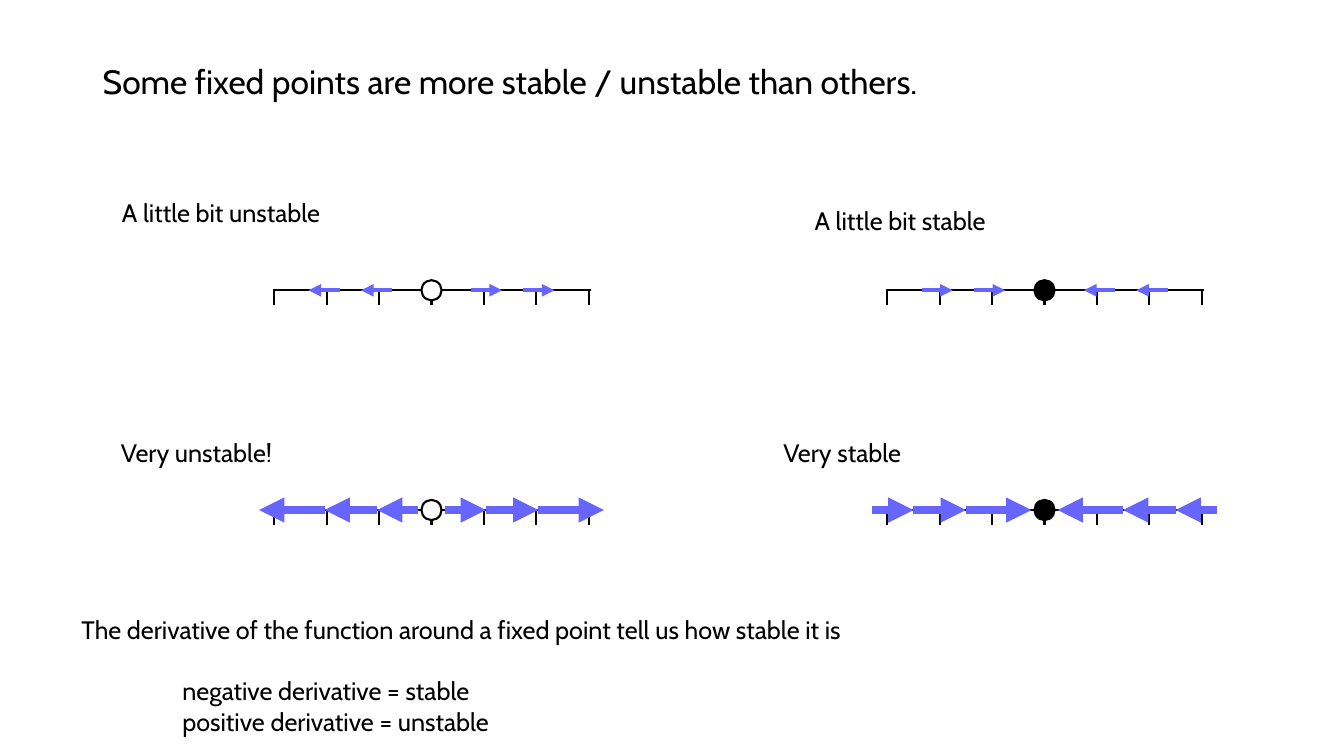
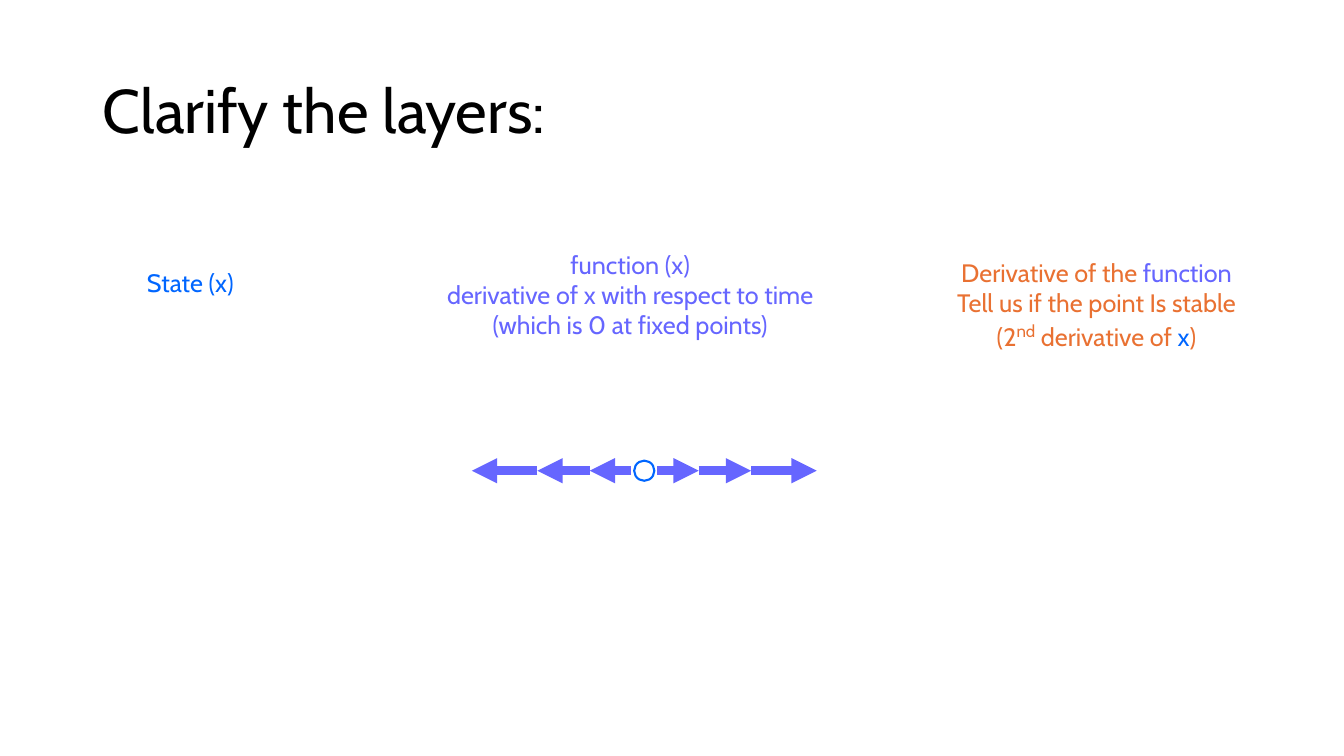
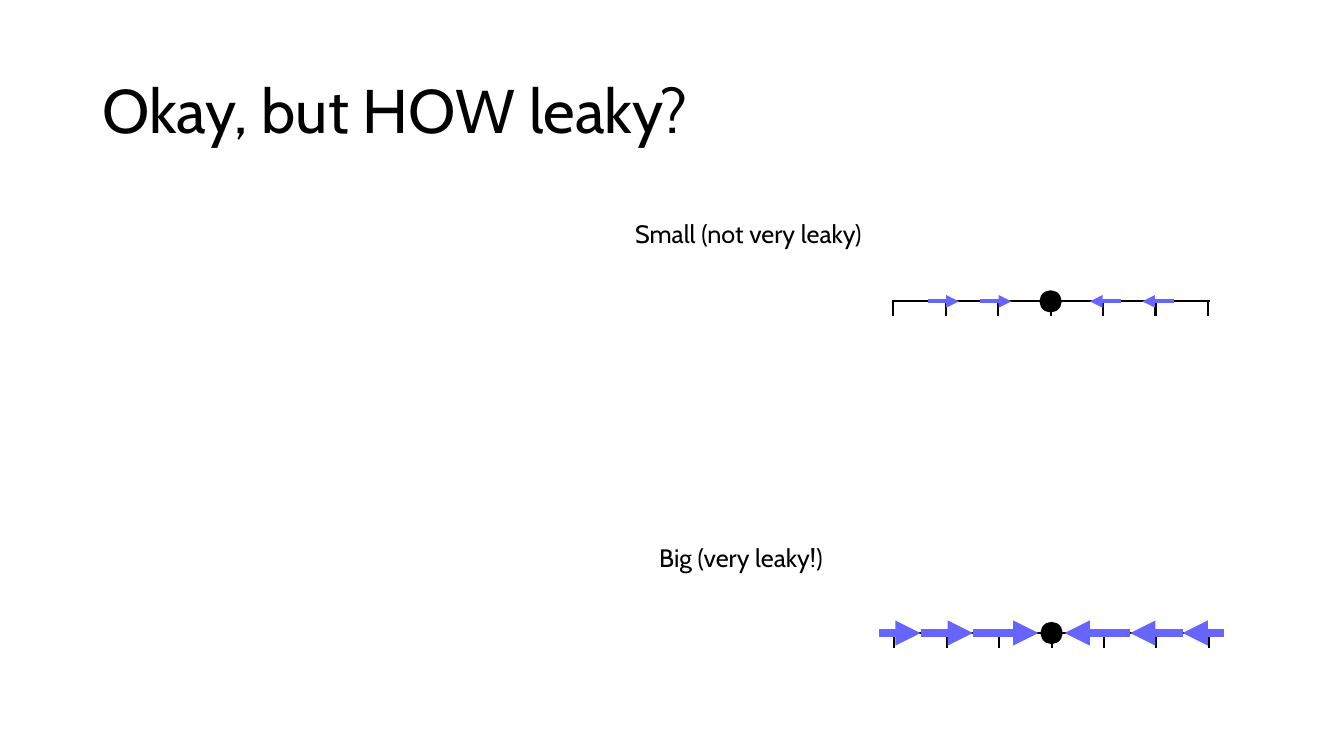
from lxml.etree import SubElement
from pptx import Presentation
from pptx.dml.color import RGBColor
from pptx.enum.shapes import MSO_CONNECTOR, MSO_SHAPE
from pptx.enum.text import MSO_ANCHOR, PP_ALIGN
from pptx.oxml.ns import qn
from pptx.util import Inches, Pt

FONT = "Cabin"
BLACK = RGBColor(0x00, 0x00, 0x00)
WHITE = RGBColor(0xFF, 0xFF, 0xFF)
VIOLET = RGBColor(0x66, 0x66, 0xFF)
BLUE = RGBColor(0x00, 0x66, 0xFF)
ORANGE = RGBColor(0xE9, 0x71, 0x32)

TICK_GAP = 0.52
POINT_SIZE = 0.2

# Arrow (tail, head) distances from the fixed point, mirrored on both sides
WEAK_OUT = [(0.39, 0.7), (0.91, 1.22)]
WEAK_IN = [(head, tail) for tail, head in WEAK_OUT]
STRONG_OUT = [(0.13, 0.54), (0.54, 1.06), (1.06, 1.71)]
STRONG_IN = [(1.71, 1.3), (1.3, 0.78), (0.78, 0.13)]
WEAK_WIDTH, STRONG_WIDTH = 3, 6


def add_text(slide, box, lines, size=18, color=BLACK, align=PP_ALIGN.LEFT):
    """Add a text box; a line is a string or a list of (text, colour) runs."""
    tf = slide.shapes.add_textbox(*map(Inches, box)).text_frame
    tf.word_wrap = True
    for i, line in enumerate(lines):
        p = tf.paragraphs[0] if i == 0 else tf.add_paragraph()
        p.alignment = align
        p.font.name = FONT
        p.font.size = Pt(size)
        if isinstance(line, str):
            p.font.color.rgb = color
            p.add_run().text = line
            continue
        for text, run_color in line:
            r = p.add_run()
            r.text = text
            r.font.color.rgb = run_color
    return tf


def add_title(slide, text):
    tf = add_text(slide, (0.92, 0.4, 11.5, 1.45), [text], size=44)
    tf.vertical_anchor = MSO_ANCHOR.MIDDLE
    tf.paragraphs[0].line_spacing = 0.9


def add_line(shapes, start, end, color=BLACK, width=1.5, arrow=False):
    line = shapes.add_connector(
        MSO_CONNECTOR.STRAIGHT, *map(Inches, (*start, *end)))
    line.line.color.rgb = color
    line.line.width = Pt(width)
    if arrow:
        SubElement(line.line._get_or_add_ln(), qn("a:tailEnd"), type="triangle")
    SubElement(line._element.spPr, qn("a:effectLst"))


def add_axis(shapes, x, y):
    add_line(shapes, (x - 1.57, y), (x + 1.58, y))
    for i in range(-3, 4):
        tick = x + i * TICK_GAP
        add_line(shapes, (tick, y - 0.01), (tick, y + 0.15))


def add_flow(slide, x, y, arrows, width, fill, outline=BLACK, axis=True):
    """Draw a fixed point centred at (x, y) with its flow arrows."""
    shapes = slide.shapes.add_group_shape().shapes
    if axis:
        add_axis(shapes, x, y)
    for side in (-1, 1):
        for tail, head in arrows:
            add_line(shapes, (x + side * tail, y), (x + side * head, y),
                     VIOLET, width, arrow=True)
    corner = POINT_SIZE / 2
    sp = shapes.add_shape(
        MSO_SHAPE.OVAL,
        *map(Inches, (x - corner, y - corner, POINT_SIZE, POINT_SIZE)))
    sp.shadow.inherit = False
    sp.fill.solid()
    sp.fill.fore_color.rgb = fill
    sp.line.color.rgb = outline
    sp.line.width = Pt(1.5)


def build_stability(slide):
    tf = add_text(slide, (0.92, 0.63, 11.5, 0.7),
                  ["Some fixed points are more stable / unstable than others."],
                  size=24)
    tf.paragraphs[0].line_spacing = 0.8

    left, right, top, bottom = 4.28, 10.36, 2.88, 5.06
    add_flow(slide, left, top, WEAK_OUT, WEAK_WIDTH, WHITE)
    add_flow(slide, left, bottom, STRONG_OUT, STRONG_WIDTH, WHITE)
    add_flow(slide, right, top, WEAK_IN, WEAK_WIDTH, BLACK)
    add_flow(slide, right, bottom, STRONG_IN, STRONG_WIDTH, BLACK)

    for x, y, label in [(1.11, 1.91, "A little bit unstable"),
                        (1.1, 4.29, "Very unstable!"),
                        (7.67, 4.29, "Very stable"),
                        (7.98, 1.99, "A little bit stable")]:
        add_text(slide, (x, y, 2.38, 0.4), [label])

    tf = add_text(slide, (0.71, 6.05, 11.41, 1.4), [
        "The derivative of the function around a fixed point tell us how stable it is",
        "negative derivative = stable",
        "positive derivative = unstable"])
    for p in tf.paragraphs[1:]:
        p._p.get_or_add_pPr().set("marL", str(Inches(1)))
    tf.paragraphs[1].space_before = Pt(22)


def build_layers(slide):
    add_title(slide, "Clarify the layers:")
    add_flow(slide, 6.39, 4.67, STRONG_OUT, STRONG_WIDTH, WHITE,
             outline=BLUE, axis=False)
    add_text(slide, (1.36, 2.6, 1.16, 0.4), ["State (x)"], color=BLUE)
    add_text(slide, (4.04, 2.42, 4.42, 1.01), [
        "function (x)",
        "derivative of x with respect to time",
        "(which is 0 at fixed points)"], color=VIOLET, align=PP_ALIGN.CENTER)
    tf = add_text(slide, (9.02, 2.5, 3.71, 1.01), [
        [("Derivative of the ", ORANGE), ("function", VIOLET)],
        "Tell us if the point Is stable",
        [("(2", ORANGE), ("nd", ORANGE), (" derivative of ", ORANGE),
         ("x", BLUE), (")", ORANGE)]], color=ORANGE, align=PP_ALIGN.CENTER)
    ordinal = tf.paragraphs[2].runs[1].font
    ordinal.size = Pt(20.8)
    ordinal._element.set("baseline", "30000")


def build_leak(slide):
    add_title(slide, "Okay, but HOW leaky?")
    add_flow(slide, 10.42, 2.99, WEAK_IN, WEAK_WIDTH, BLACK)
    add_text(slide, (6.2, 2.12, 3.07, 0.4), ["Small (not very leaky)"])
    add_text(slide, (6.44, 5.33, 3.07, 0.4), ["Big (very leaky!)"])
    add_flow(slide, 10.43, 6.28, STRONG_IN, STRONG_WIDTH, BLACK)


def main():
    prs = Presentation()
    prs.slide_width, prs.slide_height = Inches(13.33), Inches(7.5)
    for build in (build_stability, build_layers, build_leak):
        build(prs.slides.add_slide(prs.slide_layouts[6]))
    prs.save("out.pptx")


if __name__ == "__main__":
    main()
